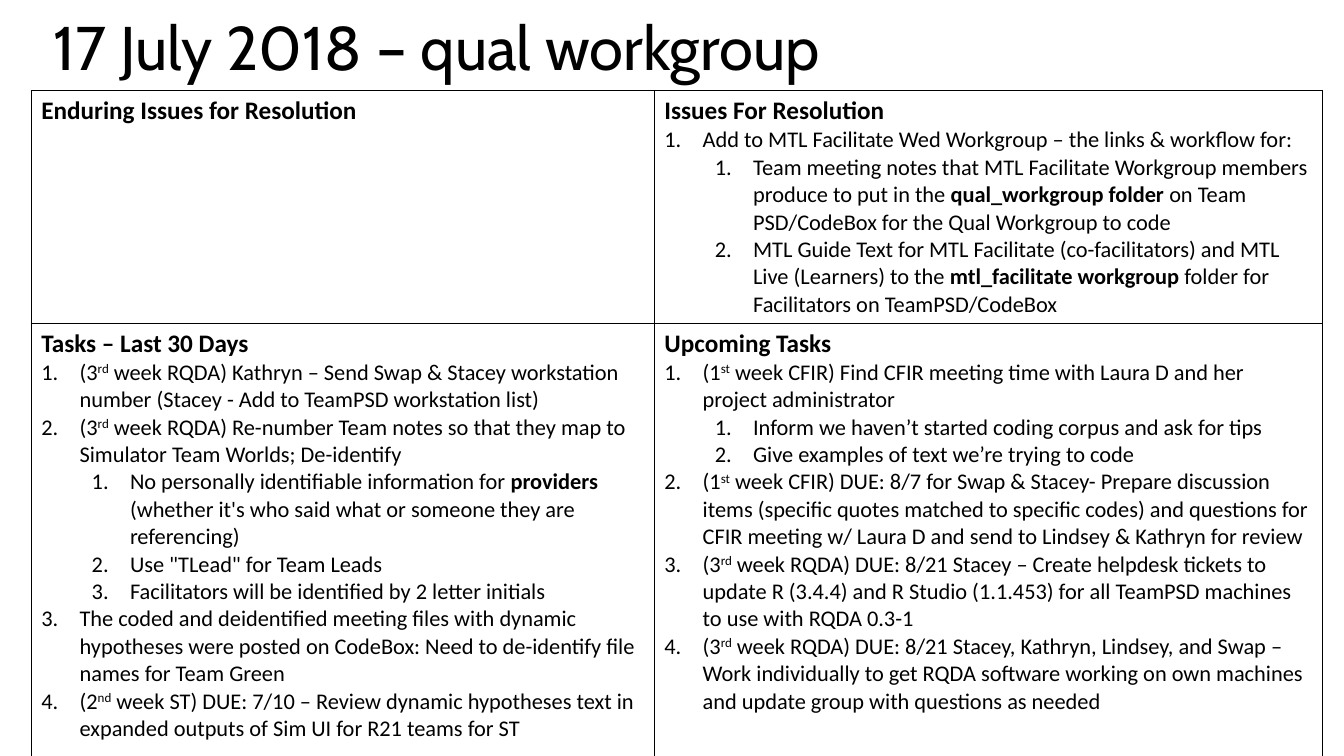
import pptx
import pptx.util
import pptx.dml.color
import pptx.enum.text
import pptx.oxml
import pptx.oxml.ns

Inches = pptx.util.Inches
Pt = pptx.util.Pt
INK = "000000"


def color(hex_value):
    return pptx.dml.color.RGBColor.from_string(hex_value)


def add_xml(parent, body):
    namespace = pptx.oxml.ns.nsdecls("a")
    tag, rest = body.split(" ", 1)
    parent.append(pptx.oxml.parse_xml(f"<a:{tag} {namespace} {rest}"))


quadrants = [
    [
        ("Enduring Issues for Resolution", []),
        ("Issues For Resolution", [
            (0, "Add to MTL Facilitate Wed Workgroup – the links & workflow for:"),
            (1, "Team meeting notes that MTL Facilitate Workgroup members produce to put in the "
                "*qual_workgroup folder *on Team PSD/CodeBox for the Qual Workgroup to code"),
            (1, "MTL Guide Text for MTL Facilitate (co-facilitators) and MTL Live (Learners) to the "
                "*mtl_facilitate workgroup *folder for Facilitators on TeamPSD/CodeBox"),
        ]),
    ],
    [
        ("Tasks – Last 30 Days", [
            (0, "(3^rd^ week RQDA) Kathryn – Send Swap & Stacey workstation number "
                "(Stacey - Add to TeamPSD workstation list)"),
            (0, "(3^rd^ week RQDA) Re-number Team notes so that they map to "
                "Simulator Team Worlds; De-identify"),
            (1, "No personally identifiable information for *providers *"
                "(whether it's who said what or someone they are referencing)"),
            (1, 'Use "TLead" for Team Leads'),
            (1, "Facilitators will be identified by 2 letter initials"),
            (0, "The coded and deidentified meeting files with dynamic hypotheses were posted "
                "on CodeBox: Need to de-identify file names for Team Green"),
            (0, "(2^nd^ week ST) DUE: 7/10 – Review dynamic hypotheses text in expanded "
                "outputs of Sim UI for R21 teams for ST"),
        ]),
        ("Upcoming Tasks", [
            (0, "(1^st^ week CFIR) Find CFIR meeting time with Laura D and her project administrator"),
            (1, "Inform we haven’t started coding corpus and ask for tips"),
            (1, "Give examples of text we’re trying to code"),
            (0, "(1^st^ week CFIR) DUE: 8/7 for Swap & Stacey- Prepare discussion items "
                "(specific quotes matched to specific codes) and questions for CFIR meeting "
                "w/ Laura D and send to Lindsey & Kathryn for review"),
            (0, "(3^rd^ week RQDA) DUE: 8/21 Stacey – Create helpdesk tickets to update R (3.4.4) "
                "and R Studio (1.1.453) for all TeamPSD machines to use with RQDA 0.3-1"),
            (0, "(3^rd^ week RQDA) DUE: 8/21 Stacey, Kathryn, Lindsey, and Swap – Work individually "
                "to get RQDA software working on own machines and update group with questions as needed"),
        ]),
    ],
]

presentation = pptx.Presentation()
presentation.slide_width = Inches(13.33)
presentation.slide_height = Inches(7.5)
slide = presentation.slides.add_slide(presentation.slide_layouts[5])

title = slide.shapes.title
title.left, title.top, title.width, title.height = map(Inches, (0.43, 0.1, 12.55, 0.8))
title.text_frame.text = "17 July 2018 – qual workgroup"
title.text_frame.auto_size = pptx.enum.text.MSO_AUTO_SIZE.NONE
title.text_frame.vertical_anchor = pptx.enum.text.MSO_ANCHOR.MIDDLE
paragraph = title.text_frame.paragraphs[0]
paragraph.alignment = pptx.enum.text.PP_ALIGN.LEFT
paragraph.line_spacing = 0.9
paragraph.font.name = "Cabin"
paragraph.font.size = Pt(44)
paragraph.font.color.rgb = color(INK)

column_widths = [6.18, 6.63]
row_heights = [2.3, 4.37]
table = slide.shapes.add_table(
    2, 2, Inches(0.31), Inches(0.9),
    Inches(sum(column_widths)), Inches(sum(row_heights))).table
table.first_row = False
table.horz_banding = False
for column, width in zip(table.columns, column_widths):
    column.width = Inches(width)
for row, height in zip(table.rows, row_heights):
    row.height = Inches(height)

for row_index, quadrant_row in enumerate(quadrants):
    for column_index, (heading, items) in enumerate(quadrant_row):
        cell = table.cell(row_index, column_index)
        cell_properties = cell._tc.get_or_add_tcPr()
        for side in "LRTB":
            add_xml(cell_properties,
                    f'ln{side} w="{Pt(1)}"><a:solidFill><a:srgbClr val="{INK}"/></a:solidFill></a:ln{side}>')
        cell.fill.background()

        lines = [(None, f"*{heading}*")] + items
        for line_index, (level, text) in enumerate(lines):
            frame = cell.text_frame
            paragraph = frame.add_paragraph() if line_index else frame.paragraphs[0]
            if level is not None:
                paragraph.level = level
                properties = paragraph._p.get_or_add_pPr()
                properties.set("marL", str(Inches(0.38 + 0.5 * level)))
                properties.set("indent", str(-Inches(0.38)))
                add_xml(properties, 'buFont typeface="+mj-lt"/>')
                add_xml(properties, 'buAutoNum type="arabicPeriod"/>')
            paragraph.font.name = "Calibri"
            paragraph.font.size = Pt(18 if level is None else 16)
            paragraph.font.color.rgb = color(INK)
            for bold_index, stretch in enumerate(text.split("*")):
                for raised_index, words in enumerate(stretch.split("^")):
                    if words:
                        run = paragraph.add_run()
                        run.text = words
                        run.font.bold = bold_index % 2 == 1
                        if raised_index % 2:
                            run._r.get_or_add_rPr().set("baseline", "30000")

presentation.save("out.pptx")
